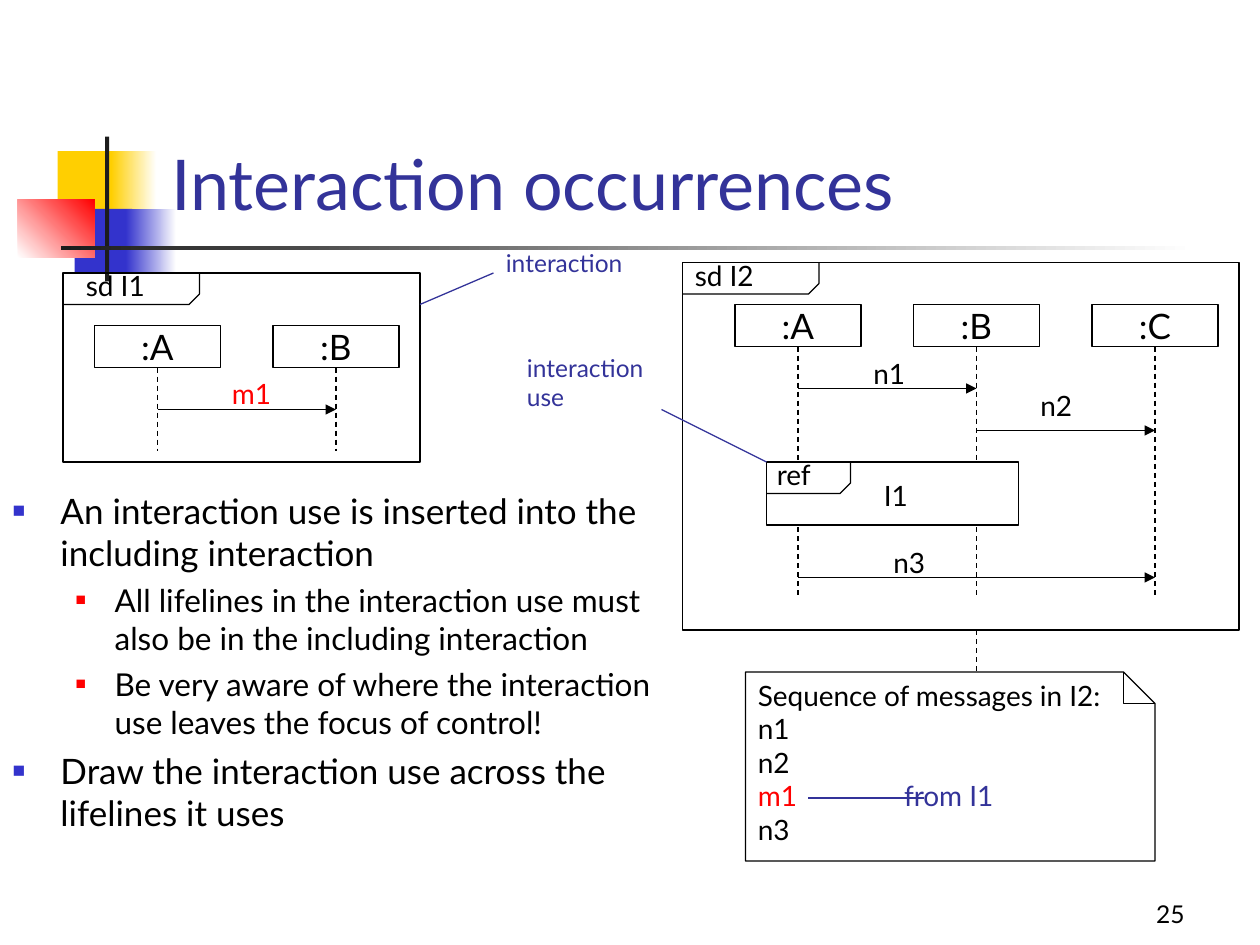
from dataclasses import dataclass
from typing import NamedTuple

from lxml import etree
from pptx import Presentation
from pptx import util as u
from pptx.dml.color import RGBColor
from pptx.enum import dml, shapes, text
from pptx.oxml import ns

# The slide is a grid of 120 columns by 90 rows
COLUMNS, ROWS = 120, 90
CELL = u.Inches(10) // COLUMNS


@dataclass(frozen=True)
class Theme:
    font: str = "Lato"
    black: str = "000000"
    white: str = "FFFFFF"
    navy: str = "333399"
    blue: str = "3333CC"
    red: str = "FF0000"
    yellow: str = "FFCF01"
    charcoal: str = "1C1C1C"
    title: int = 40
    large: int = 20
    medium: int = 18
    label: int = 16
    small: int = 14
    line: float = 0.75


class Box(NamedTuple):
    left: float
    top: float
    width: float
    height: float


class Block(NamedTuple):
    box: Box
    start: str
    end: str = ""
    angle: int = 0


class Label(NamedTuple):
    words: str
    box: Box
    color: str
    size: int
    wrap: bool = False


class Message(NamedTuple):
    start: int
    end: int
    row: int


class Bullet(NamedTuple):
    words: str
    level: int = 0


class BulletStyle(NamedTuple):
    indent: float
    hang: float
    before: float
    percent: int
    color: str
    size: int


THEME = Theme()
HEAD_WIDTH, HEAD_HEIGHT, HEAD_PITCH = 12, 4, 17

presentation = Presentation()
presentation.slide_width, presentation.slide_height = COLUMNS * CELL, ROWS * CELL
slide = presentation.slides.add_slide(presentation.slide_layouts[1])


def cells(*values: float) -> list[int]:
    return [round(value * CELL) for value in values]


def rgb(color: str) -> RGBColor:
    return RGBColor.from_string(color)


def set_font(font, size: int, color: str) -> None:
    font.name, font.size = THEME.font, u.Pt(size)
    font.color.rgb = rgb(color)


def outline(shape, fill: str = "") -> None:
    shape.shadow.inherit = False
    if fill:
        shape.fill.solid()
        shape.fill.fore_color.rgb = rgb(fill)
    else:
        shape.fill.background()
    shape.line.color.rgb = rgb(THEME.black)
    shape.line.width = u.Pt(THEME.line)


def add_rectangle(box: Box, fill: str = ""):
    shape = slide.shapes.add_shape(shapes.MSO_SHAPE.RECTANGLE, *cells(*box))
    outline(shape, fill)
    return shape


def add_block(block: Block) -> None:
    shape = add_rectangle(block.box, block.start)
    shape.line.fill.background()
    if block.end:
        shape.fill.gradient()
        shape.fill.gradient_angle = block.angle
        for stop, color in zip(shape.fill.gradient_stops, (block.start, block.end)):
            stop.color.rgb = rgb(color)


def add_line(x1: float, y1: float, x2: float, y2: float, color: str = THEME.black,
             dashed: bool = False, arrow: bool = False):
    line = slide.shapes.add_connector(shapes.MSO_CONNECTOR.STRAIGHT, *cells(x1, y1, x2, y2))
    line.line.color.rgb = rgb(color)
    line.line.width = u.Pt(THEME.line)
    if dashed:
        line.line.dash_style = dml.MSO_LINE.DASH
    if arrow:
        etree.SubElement(line.line._get_or_add_ln(), ns.qn("a:tailEnd"), type="triangle")
    etree.SubElement(line.element.spPr, ns.qn("a:effectLst"))
    return line


def add_outline(points: list[tuple[float, float]], close: bool) -> None:
    builder = slide.shapes.build_freeform(*points[0], scale=CELL)
    builder.add_line_segments(points[1:], close=close)
    outline(builder.convert_to_shape())


def add_frame(box: Box, tab_width: float, fill: str = "") -> None:
    """Frame with a cut-corner name tab at its top left."""
    add_rectangle(box, fill)
    left, top, right = box.left, box.top, box.left + tab_width
    add_outline([(left, top + 3), (right - 1, top + 3), (right, top + 2), (right, top)], close=False)


def add_lifelines(names: str, left: float, top: float, end: float) -> None:
    for index, name in enumerate(names):
        column = left + index * HEAD_PITCH
        head = add_rectangle(Box(column, top, HEAD_WIDTH, HEAD_HEIGHT))
        frame = head.text_frame
        frame.word_wrap = False
        frame.vertical_anchor = text.MSO_ANCHOR.MIDDLE
        paragraph = frame.paragraphs[0]
        paragraph.text = f":{name}"
        paragraph.alignment = text.PP_ALIGN.CENTER
        set_font(paragraph.font, THEME.large, THEME.black)
        center = column + HEAD_WIDTH / 2
        line = add_line(center, top + HEAD_HEIGHT, center, end, dashed=True)
        line.begin_connect(head, 2)


def add_label(label: Label):
    box = slide.shapes.add_textbox(*cells(*label.box))
    box.text_frame.word_wrap = label.wrap
    paragraph = box.text_frame.paragraphs[0]
    paragraph.text = label.words
    set_font(paragraph.font, label.size, label.color)
    return box


def add_bullets(frame, bullets: list[Bullet], styles: list[BulletStyle]) -> None:
    for index, bullet in enumerate(bullets):
        style = styles[bullet.level]
        paragraph = frame.add_paragraph() if index else frame.paragraphs[0]
        paragraph.text, paragraph.level = bullet.words, bullet.level
        paragraph.space_before = u.Pt(style.before if index else 0)
        properties = paragraph._p.get_or_add_pPr()
        properties.set("marL", str(u.Inches(style.indent)))
        properties.set("indent", str(-u.Inches(style.hang)))
        bullet_color = etree.SubElement(properties, ns.qn("a:buClr"))
        etree.SubElement(bullet_color, ns.qn("a:srgbClr"), val=style.color)
        etree.SubElement(properties, ns.qn("a:buSzPct"), val=str(style.percent * 1000))
        etree.SubElement(properties, ns.qn("a:buChar"), char="■")
        set_font(paragraph.font, style.size, THEME.black)


# Corner decoration
for block in [
    Block(Box(5.5, 14.4, 5.8, 6.2), THEME.yellow),
    Block(Box(10.6, 14.4, 4.3, 6.2), THEME.yellow, THEME.white),
    Block(Box(7.1, 19.9, 5.5, 6.2), THEME.blue),
    Block(Box(12, 19.9, 4.8, 6.2), THEME.blue, THEME.white),
    Block(Box(1.7, 19, 7.3, 5.5), THEME.white, THEME.red, 45),
    Block(Box(10, 13, 0.4, 13.8), THEME.charcoal),
    Block(Box(5.8, 23.4, 108, 0.4), THEME.charcoal, THEME.white),
]:
    add_block(block)

# Title and list, placed in front of the decoration
title, body = slide.shapes.title, slide.placeholders[1]
for placeholder, box in [(title, Box(15.1, 2.8, 102.2, 19.2)), (body, Box(0, 46, 67, 39))]:
    placeholder.left, placeholder.top, placeholder.width, placeholder.height = cells(*box)
    placeholder.text_frame.auto_size = text.MSO_AUTO_SIZE.NONE
    slide.shapes.element.append(placeholder.element)
title.text_frame.vertical_anchor = text.MSO_ANCHOR.BOTTOM
heading = title.text_frame.paragraphs[0]
heading.text = "Interaction occurrences"
heading.alignment = text.PP_ALIGN.LEFT
set_font(heading.font, THEME.title, THEME.navy)
add_bullets(body.text_frame, [
    Bullet("An interaction use is inserted into the including interaction"),
    Bullet("All lifelines in the interaction use must also be in the including interaction", 1),
    Bullet("Be very aware of where the interaction use leaves the focus of control!", 1),
    Bullet("Draw the interaction use across the lifelines it uses"),
], [BulletStyle(0.38, 0.38, 5, 60, THEME.blue, THEME.large),
    BulletStyle(0.81, 0.31, 4.5, 55, THEME.red, THEME.medium)])

# Sequence diagrams I1 and I2
add_frame(Box(6, 26, 34, 18), 13)
add_lifelines("AB", 9, 31, 43)
add_frame(Box(65, 25, 53, 35), 13)
add_lifelines("ABC", 70, 29, 57)
for message in [Message(15, 32, 39), Message(76, 93, 37), Message(93, 110, 41), Message(76, 110, 55)]:
    add_line(message.start, message.row, message.end, message.row, arrow=True)
add_frame(Box(73, 44, 24, 6), 8, THEME.white)

# Diagram labels and callouts
for label in [
    Label("sd I1", Box(7, 25, 8.4, 4.4), THEME.black, THEME.label),
    Label("m1", Box(20.9, 35.3, 6.4, 4.4), THEME.red, THEME.label),
    Label("sd I2", Box(65, 24, 8.4, 4.4), THEME.black, THEME.label),
    Label("n1", Box(82, 33.4, 5.5, 4.4), THEME.black, THEME.label),
    Label("n2", Box(97.9, 36.4, 5.5, 4.4), THEME.black, THEME.label),
    Label("n3", Box(83.9, 51.4, 5.5, 4.4), THEME.black, THEME.label),
    Label("ref", Box(72.8, 43, 5.9, 4.4), THEME.black, THEME.label),
    Label("I1", Box(83, 45, 4.8, 4.4), THEME.black, THEME.label),
    Label("interaction", Box(47, 23, 14, 6.8), THEME.navy, THEME.small, True),
    Label("interaction use", Box(49, 33, 14, 6.8), THEME.navy, THEME.small, True),
]:
    add_label(label)
add_line(47, 26, 40, 29, THEME.navy)
add_line(63, 39, 73, 44, THEME.navy)

# Note with a folded corner
add_outline([(71, 64), (107, 64), (110, 67), (110, 82), (71, 82)], close=True)
add_outline([(107, 64), (107, 67), (110, 67)], close=False)
note = add_label(Label("Sequence of messages in I2:", Box(71, 64, 39, 17.3), THEME.black, THEME.label, True))
for words in ["n1", "n2", "m1", "n3"]:
    paragraph = note.text_frame.add_paragraph()
    run = paragraph.add_run()
    run.text = words
    if words == "m1":
        run.font.color.rgb = rgb(THEME.red)
        origin = paragraph.add_run()
        origin.text = "\tfrom I1"
        origin.font.color.rgb = rgb(THEME.navy)
        tabs = etree.SubElement(paragraph._p.get_or_add_pPr(), ns.qn("a:tabLst"))
        etree.SubElement(tabs, ns.qn("a:tab"), pos=str(u.Inches(1.16)), algn="l")
    set_font(paragraph.font, THEME.label, THEME.black)
add_line(93, 60, 93, 64, dashed=True)
add_line(77, 76, 88, 76, THEME.navy)

# Slide number
number = add_label(Label("25", Box(89, 83, 25, 6), THEME.black, THEME.small, True))
number.text_frame.vertical_anchor = text.MSO_ANCHOR.BOTTOM
number.text_frame.paragraphs[0].alignment = text.PP_ALIGN.RIGHT

presentation.save("out.pptx")
